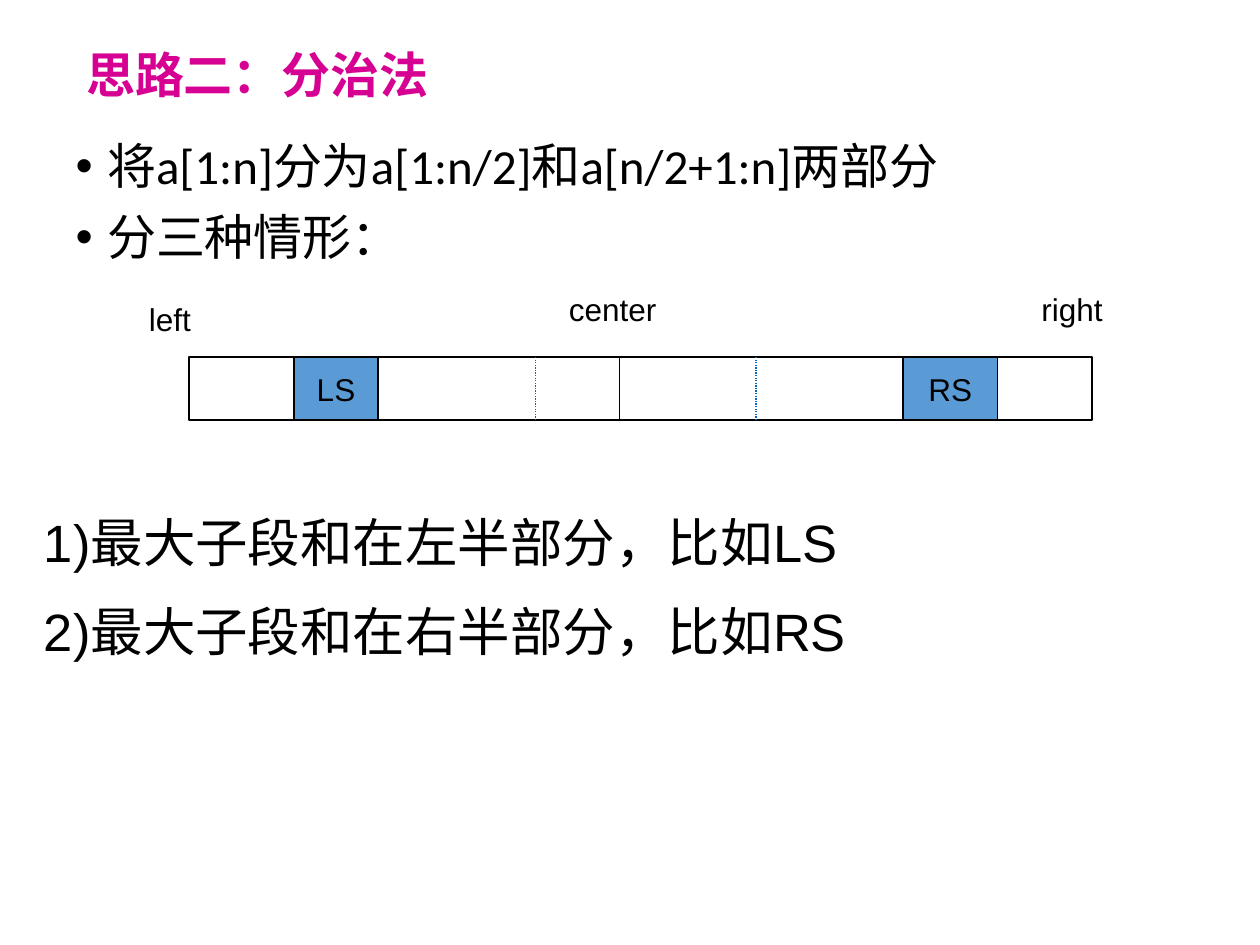
import pptx
import pptx.util
import pptx.dml.color
import pptx.enum.dml
import pptx.enum.shapes
import pptx.enum.text
import pptx.oxml.ns
import lxml.etree

Pt = pptx.util.Pt
RGB = pptx.dml.color.RGBColor
ANCHOR = pptx.enum.text.MSO_ANCHOR
ALIGN = pptx.enum.text.PP_ALIGN
FIT = pptx.enum.text.MSO_AUTO_SIZE
DASH = pptx.enum.dml.MSO_LINE
qn = pptx.oxml.ns.qn

BLACK = RGB(0x00, 0x00, 0x00)
WHITE = RGB(0xFF, 0xFF, 0xFF)
MAGENTA = RGB(0xD6, 0x00, 0x93)
SEGMENT_BLUE = RGB(0x5B, 0x9B, 0xD5)
LINE_BLUE = RGB(0x05, 0x63, 0xC1)

TITLE = "思路二：分治法"
POINTS = ["将a[1:n]分为a[1:n/2]和a[n/2+1:n]两部分", "分三种情形："]
CASES = ["1)最大子段和在左半部分，比如LS", "2)最大子段和在右半部分，比如RS"]

ARRAY_LEFT, ARRAY_TOP, ARRAY_WIDTH, ARRAY_HEIGHT = 108, 204, 516, 36
BLOCKS = [
    ("", ARRAY_LEFT, ARRAY_WIDTH, WHITE),
    ("LS", 168, 48, SEGMENT_BLUE),
    ("RS", 516, 54, SEGMENT_BLUE),
]
DIVIDERS = [
    (354, BLACK, None),
    (306, LINE_BLUE, DASH.ROUND_DOT),
    (432, LINE_BLUE, DASH.ROUND_DOT),
]
LABELS = [("center", 318, 162, 102), ("left", 78, 168, 48), ("right", 588, 162, 72)]


def place(sp, left, top, width, height):
    sp.left, sp.top, sp.width, sp.height = Pt(left), Pt(top), Pt(width), Pt(height)


def write(tf, lines, size, font="Arial", color=BLACK, bold=False,
          align=ALIGN.LEFT, gap=0, spacing=1.0):
    for i, line in enumerate(lines):
        p = tf.paragraphs[0] if i == 0 else tf.add_paragraph()
        p.alignment = align
        p.line_spacing = spacing
        p.space_before = Pt(gap if i else 0)
        r = p.add_run()
        r.text = line
        r.font.name = font
        r.font.size = Pt(size)
        r.font.bold = bold
        r.font.color.rgb = color


def add_block(shapes, text, left, width, fill):
    sp = shapes.add_shape(pptx.enum.shapes.MSO_SHAPE.RECTANGLE,
                          Pt(left), Pt(ARRAY_TOP), Pt(width), Pt(ARRAY_HEIGHT))
    sp.shadow.inherit = False
    sp.fill.solid()
    sp.fill.fore_color.rgb = fill
    sp.line.color.rgb = BLACK
    sp.line.width = Pt(0.75)
    if text:
        tf = sp.text_frame
        tf.word_wrap = False
        tf.vertical_anchor = ANCHOR.MIDDLE
        write(tf, [text], 18, align=ALIGN.CENTER)


def add_divider(shapes, x, color, dash):
    line = shapes.add_connector(pptx.enum.shapes.MSO_CONNECTOR.STRAIGHT,
                                Pt(x), Pt(ARRAY_TOP), Pt(x), Pt(ARRAY_TOP + ARRAY_HEIGHT))
    line.line.color.rgb = color
    line.line.width = Pt(0.75)
    if dash:
        line.line.dash_style = dash
    lxml.etree.SubElement(line._element.spPr, qn("a:effectLst"))


def add_text(shapes, lines, left, top, width, height, size, gap=0):
    sp = shapes.add_textbox(Pt(left), Pt(top), Pt(width), Pt(height))
    tf = sp.text_frame
    tf.word_wrap = True
    write(tf, lines, size, gap=gap)


def main():
    prs = pptx.Presentation()
    prs.slide_width, prs.slide_height = Pt(720), Pt(540)
    s = prs.slides.add_slide(prs.slide_layouts[1])

    title, body = s.placeholders
    place(title, 42, 21.6, 211.7, 41)
    tf = title.text_frame
    tf.word_wrap = False
    tf.auto_size = FIT.NONE
    tf.vertical_anchor = ANCHOR.TOP
    write(tf, [TITLE], 28, color=MAGENTA, bold=True)

    place(body, 36, 77.8, 648, 162)
    tf = body.text_frame
    tf.auto_size = FIT.NONE
    write(tf, POINTS, 28, font="Calibri", gap=10, spacing=0.9)
    for p in tf.paragraphs:
        pPr = p._p.get_or_add_pPr()
        pPr.set("marL", str(Pt(18)))
        pPr.set("indent", str(-Pt(18)))
        lxml.etree.SubElement(pPr, qn("a:buFont")).set("typeface", "Arial")
        lxml.etree.SubElement(pPr, qn("a:buChar")).set("char", "•")

    add_text(s.shapes, CASES, 18, 288, 684, 98, 30, gap=15)

    diagram = s.shapes.add_group_shape().shapes
    array, *segments = BLOCKS
    add_block(diagram, *array)
    for divider in DIVIDERS:
        add_divider(diagram, *divider)
    for segment in segments:
        add_block(diagram, *segment)
    for text, left, top, width in LABELS:
        add_text(diagram, [text], left, top, width, 36, 18)

    prs.save("out.pptx")


if __name__ == "__main__":
    main()
